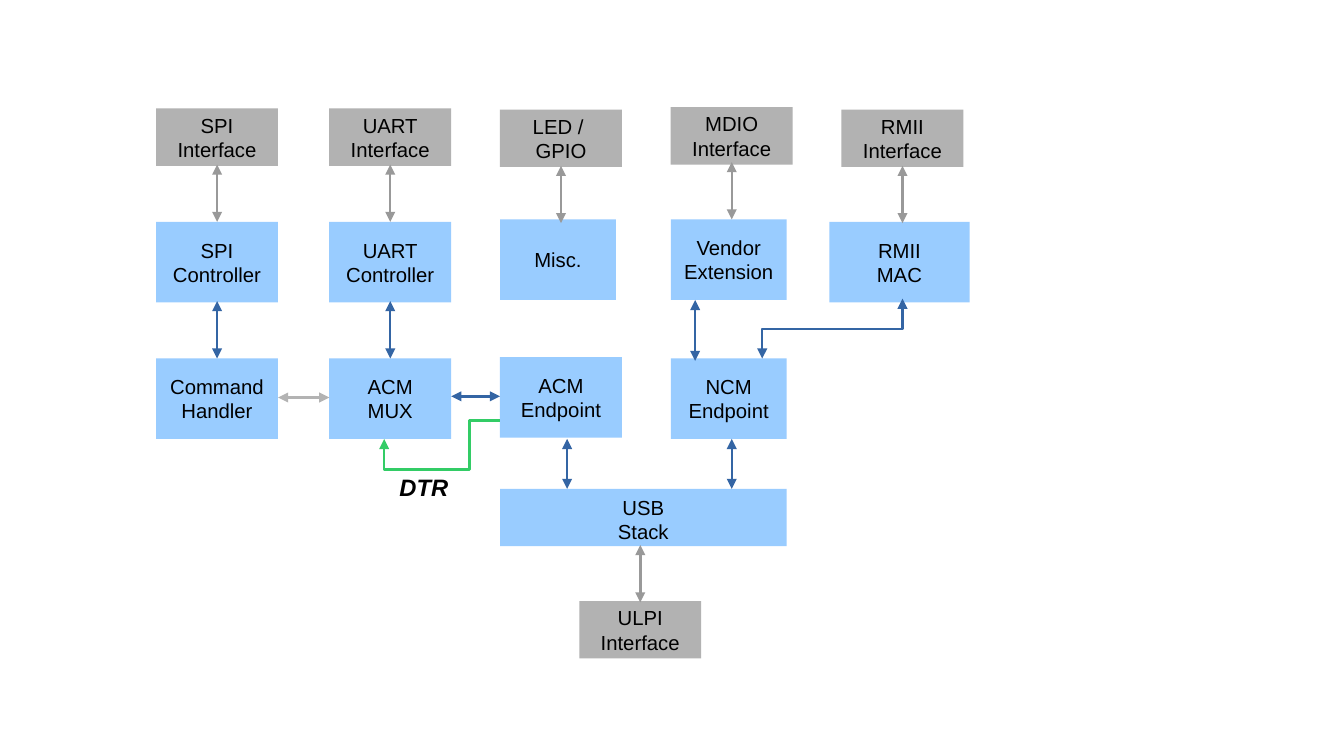
from dataclasses import dataclass

from pptx import Presentation
from pptx.dml.color import RGBColor as Rgb
from pptx.enum.shapes import MSO_CONNECTOR as Link, MSO_SHAPE as Kind
from pptx.enum.text import MSO_ANCHOR as Anchor, PP_ALIGN as Align
from pptx.oxml.ns import qn
from pptx.util import Inches, Pt


@dataclass(frozen=True)
class Theme:
    """Colours, font and sizes of the diagram."""
    block: str = "99CCFF"
    port: str = "B2B2B2"
    flow: str = "3465A4"
    pin: str = "999999"
    side: str = "B3B3B3"
    signal: str = "33CC66"
    ink: str = "000000"
    font: str = "Arial"
    size: float = 12
    label: float = 14
    line: float = 1.45


def write(frame, text, theme, size=None, bold=False, italic=False,
          anchor=Anchor.MIDDLE):
    """Put centred, formatted text into a text frame."""
    frame.word_wrap = True
    frame.vertical_anchor = anchor
    para = frame.paragraphs[0]
    para.text = text
    para.alignment = Align.CENTER
    for run in para.runs:
        font = run.font
        font.name, font.size = theme.font, Pt(size or theme.size)
        font.bold, font.italic = bold, italic
        font.color.rgb = Rgb.from_string(theme.ink)


class Canvas:
    """Holds the theme and the slide being drawn."""

    def __init__(self, slide, theme):
        """Keep the slide and its theme."""
        self.shapes, self.theme = slide.shapes, theme

    def box(self, text, left, top, width, height, fill, **style):
        """Draw a filled block with text."""
        shape = self.shapes.add_shape(
            Kind.RECTANGLE, *map(Inches, (left, top, width, height)))
        shape.shadow.inherit = False
        shape.fill.solid()
        shape.fill.fore_color.rgb = Rgb.from_string(fill)
        shape.line.fill.background()
        write(shape.text_frame, text, self.theme, **style)

    def label(self, text, left, top, width, height, **style):
        """Draw free text."""
        area = self.shapes.add_textbox(
            *map(Inches, (left, top, width, height)))
        write(area.text_frame, text, self.theme, **style)

    def stroke(self, shape, color, ends):
        """Set line colour, width and arrowheads, without a shadow."""
        shape.line.color.rgb = Rgb.from_string(color)
        shape.line.width = Pt(self.theme.line)
        props = shape.line._get_or_add_ln()
        for end in ends:
            tip = props.makeelement(qn(f"a:{end}End"), {"type": "triangle"})
            props.append(tip)
        area = shape._element.spPr
        if area.find(qn("a:effectLst")) is None:
            area.append(area.makeelement(qn("a:effectLst"), {}))

    def arrow(self, start, end, color):
        """Draw a straight arrow with two heads."""
        line = self.shapes.add_connector(
            Link.STRAIGHT, *map(Inches, (*start, *end)))
        self.stroke(line, color, ("head", "tail"))

    def route(self, points, color, ends=("head", "tail")):
        """Draw a bent arrow through the points."""
        first, *rest = [tuple(map(Inches, point)) for point in points]
        build = self.shapes.build_freeform(*first)
        build.add_line_segments(rest, close=False)
        shape = build.convert_to_shape()
        shape.fill.background()
        self.stroke(shape, color, ends)


def draw(canvas):
    """Draw the blocks, then the links between them."""
    theme = canvas.theme
    tall, low = 0.66, 0.47

    for name, left, top in (
            ("SPI\nInterface", 1.28, 0.89), ("UART\nInterface", 2.7, 0.89),
            ("LED / \nGPIO", 4.1, 0.9), ("MDIO\nInterface", 5.5, 0.88),
            ("RMII\nInterface", 6.9, 0.9), ("ULPI\nInterface", 4.75, 4.93)):
        canvas.box(name, left, top, 1, low, theme.port)

    for name, left, top, width in (
            ("SPI\nController", 1.28, 1.82, 1),
            ("UART\nController", 2.7, 1.82, 1),
            ("Misc.", 4.1, 1.8, 0.95),
            ("Vendor\nExtension", 5.5, 1.8, 0.95),
            ("RMII\nMAC", 6.8, 1.82, 1.15),
            ("Command\nHandler", 1.28, 2.94, 1),
            ("ACM\nMUX", 2.7, 2.94, 1),
            ("ACM\nEndpoint", 4.1, 2.93, 1),
            ("NCM\nEndpoint", 5.5, 2.94, 0.95)):
        canvas.box(name, left, top, width, tall, theme.block)
    canvas.box("USB\nStack", 4.1, 4.01, 2.35, low, theme.block,
               anchor=Anchor.TOP)

    for x, top in ((1.78, 1.35), (3.2, 1.35), (4.6, 1.36), (6, 1.33),
                   (7.4, 1.36), (5.25, 4.47)):
        canvas.arrow((x, top), (x, top + low), theme.pin)
    for x, top, end in ((1.78, 2.47, 2.94), (3.2, 2.47, 2.94),
                        (5.7, 2.46, 2.96), (4.65, 3.6, 4.01),
                        (6, 3.6, 4.01)):
        canvas.arrow((x, top), (x, end), theme.flow)
    canvas.arrow((3.7, 3.25), (4.1, 3.25), theme.flow)
    canvas.arrow((2.7, 3.26), (2.28, 3.26), theme.side)

    canvas.route(((7.4, 2.45), (7.4, 2.7), (6.25, 2.7), (6.25, 2.94)),
                 theme.flow)
    canvas.route(((3.15, 3.6), (3.15, 3.85), (3.85, 3.85), (3.85, 3.45),
                  (4.1, 3.45)), theme.signal, ends=("head",))
    canvas.label("DTR", 3.15, 3.83, 0.65, 0.32, size=theme.label,
                 bold=True, italic=True, anchor=Anchor.TOP)


def main():
    """Build and save the deck."""
    deck = Presentation()
    deck.slide_width, deck.slide_height = Inches(11.02), Inches(6.2)
    blank = deck.slide_layouts[6]
    draw(Canvas(deck.slides.add_slide(blank), Theme()))
    deck.save("out.pptx")


main()
